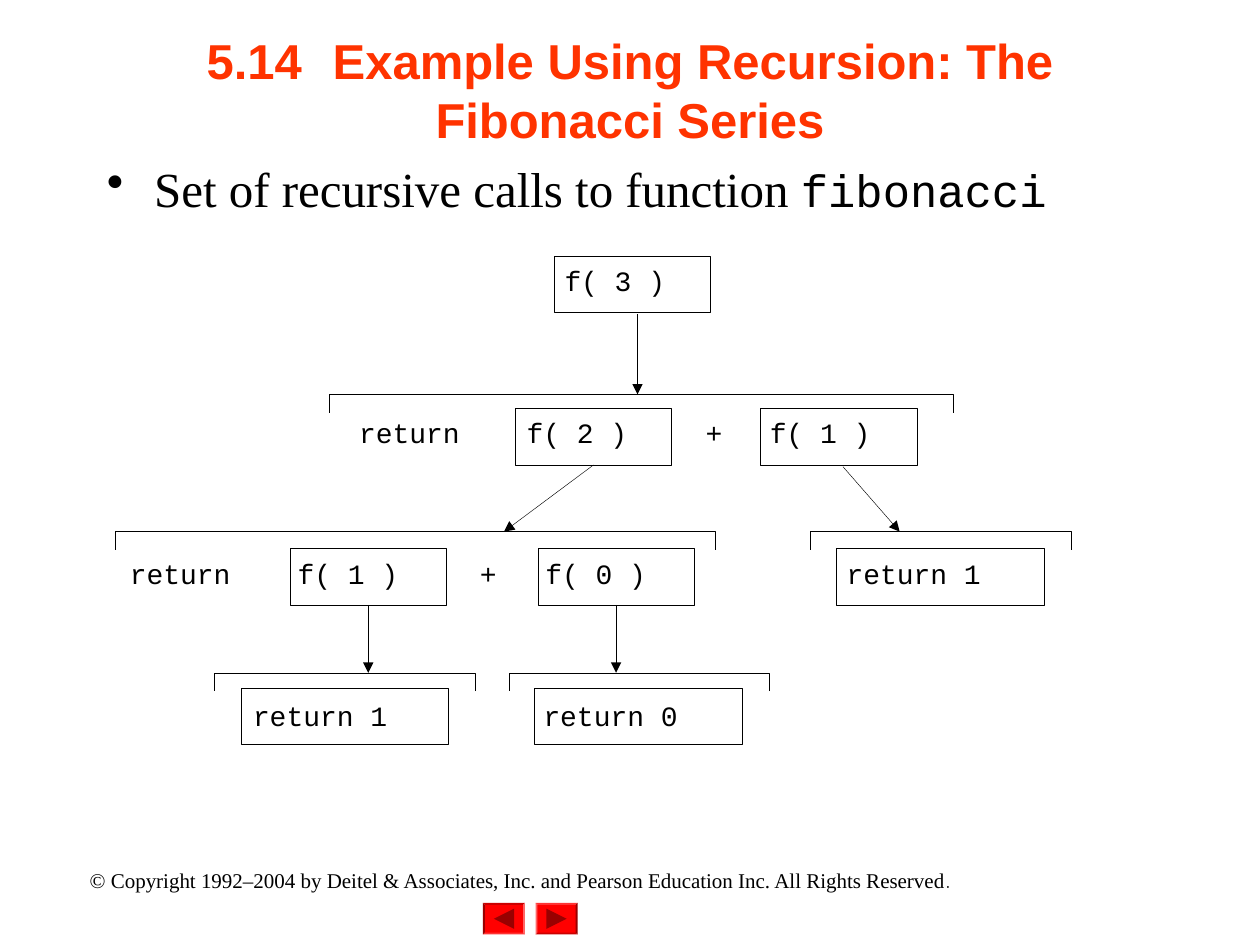
import pptx
import pptx.util
import pptx.dml.color
import pptx.enum.shapes
import pptx.enum.text
import pptx.oxml.ns
import lxml.etree

Pt = pptx.util.Pt
SHAPE = pptx.enum.shapes.MSO_SHAPE
ALIGN = pptx.enum.text.PP_ALIGN
ANCHOR = pptx.enum.text.MSO_ANCHOR

COLORS = {"ink": "000000", "title": "FF3300", "button": "FF0000", "button_arrow": "990000"}
SERIF, SANS, MONO, FOOT = "Times New Roman", "Arial", "Courier New", "Quicksand"

TITLE = "5.14\tExample Using Recursion: The Fibonacci Series"
BULLET = [("Set of recursive calls to function ", SERIF, 28), ("fibonacci", MONO, 26)]
COPYRIGHT = [
    ("© Copyright 1992–2004 by Deitel & Associates, Inc. and Pearson Education Inc. All Rights Reserved", SERIF, 12),
    (".", FOOT, 12),
]

ROW_TOPS = [146.2, 233.3, 313.2, 393.1]
TEXT_DROPS = [4.3, 4.3, 5, 5.8]
BRACKET_TOPS = [None, 225.4, 303.8, 384.5]
BOX_HEIGHT, CALL_WIDTH, RESULT_WIDTH, BRACKET_DEPTH = 32.4, 89.3, 118.8, 10.5

# row, left, width, text indent
CALLS = {
    "top": (0, 316.8, CALL_WIDTH, 5.8, "f( 3 )"),
    "left": (1, 294.5, CALL_WIDTH, 6.5, "f( 2 )"),
    "right": (1, 434.6, CALL_WIDTH, 5.3, "f( 1 )"),
    "left one": (2, 165.8, CALL_WIDTH, 4.3, "f( 1 )"),
    "left zero": (2, 307.4, CALL_WIDTH, 4.3, "f( 0 )"),
    "right result": (2, 478, RESULT_WIDTH, 5.8, "return 1"),
    "one result": (3, 137.6, RESULT_WIDTH, 7, "return 1"),
    "zero result": (3, 305.4, RESULT_WIDTH, 5.2, "return 0"),
}
WORDS = [(1, 205.2, "return"), (1, 403.2, "+"), (2, 74.3, "return"), (2, 274.3, "+")]
BRACKETS = [(1, 188, 357), (2, 66, 342.5), (2, 463, 149), (3, 122.5, 149), (3, 291, 148.5)]
JOINED_ARROWS = [("left", 288), ("left one", None), ("left zero", None)]
FREE_ARROWS = [("top", 364.3, 364.3), ("right", 481.7, 514.1)]
BUTTONS = [(276, 180, 270), (306, 0, 90)]


def color(name):
    return pptx.dml.color.RGBColor.from_string(COLORS[name])


def style(font, face, size, ink="ink", bold=False):
    font.name, font.size, font.bold = face, Pt(size), bold
    font.color.rgb = color(ink)


def add_child(parent, tag, **attributes):
    child = lxml.etree.SubElement(parent, pptx.oxml.ns.qn(tag))
    for key, value in attributes.items():
        child.set(key, str(value))
    return child


def set_insets(frame, left, top, right=0, bottom=0):
    frame.margin_left, frame.margin_top = Pt(left), Pt(top)
    frame.margin_right, frame.margin_bottom = Pt(right), Pt(bottom)


def add_text_box(slide, left, top, width, height):
    frame = slide.shapes.add_textbox(Pt(left), Pt(top), Pt(width), Pt(height)).text_frame
    frame.word_wrap = True
    set_insets(frame, 7.2, 3.6, 7.2, 3.6)
    return frame


def add_runs(paragraph, runs):
    for text, face, size in runs:
        run = paragraph.add_run()
        run.text = text
        style(run.font, face, size)


def add_preset(slide, preset, left, top, width, height, fill=None):
    shape = slide.shapes.add_shape(preset, Pt(left), Pt(top), Pt(width), Pt(height))
    shape.shadow.inherit = False
    if fill:
        shape.fill.solid()
        shape.fill.fore_color.rgb = color(fill)
        shape.line.fill.background()
    else:
        shape.fill.background()
        outline(shape)
    return shape


def outline(shape):
    shape.line.color.rgb = color("ink")
    shape.line.width = Pt(0.25)


def add_call(slide, row, left, width, indent, text):
    box = add_preset(slide, SHAPE.RECTANGLE, left, ROW_TOPS[row], width, BOX_HEIGHT)
    frame = box.text_frame
    frame.vertical_anchor = ANCHOR.TOP
    set_insets(frame, indent, TEXT_DROPS[row])
    frame.text = text
    frame.paragraphs[0].alignment = ALIGN.LEFT
    style(frame.paragraphs[0].font, MONO, 16)
    return box


def add_bracket(slide, row, left, width):
    top, right = BRACKET_TOPS[row], left + width
    foot = top + BRACKET_DEPTH
    builder = slide.shapes.build_freeform(Pt(right), Pt(foot))
    builder.add_line_segments([(Pt(x), Pt(y)) for x, y in [(right, top), (left, top), (left, foot)]], close=False)
    bracket = builder.convert_to_shape()
    bracket.fill.background()
    bracket.shadow.inherit = False
    outline(bracket)


def add_arrow(slide, row, start, tip):
    arrow = slide.shapes.add_connector(
        pptx.enum.shapes.MSO_CONNECTOR.STRAIGHT,
        Pt(start), Pt(ROW_TOPS[row] + BOX_HEIGHT + 1), Pt(tip), Pt(BRACKET_TOPS[row + 1]))
    outline(arrow)
    add_child(arrow.line._get_or_add_ln(), "a:tailEnd", type="triangle")
    add_child(arrow._element.spPr, "a:effectLst")
    return arrow


def main():
    deck = pptx.Presentation()
    deck.slide_width, deck.slide_height = Pt(720), Pt(540)
    slide = deck.slides.add_slide(deck.slide_layouts[6])

    for left, bevel_turn, arrow_turn in BUTTONS:
        bevel = add_preset(slide, SHAPE.BEVEL, left, 516, 24, 18, "button")
        bevel.adjustments[0] = 0.06
        bevel.rotation = bevel_turn
        add_preset(slide, SHAPE.ISOSCELES_TRIANGLE, left + 6.2, 519.2, 11.6, 11.6, "button_arrow").rotation = arrow_turn

    notice = add_text_box(slide, 36, 492, 522, 21.6).paragraphs[0]
    notice.alignment = ALIGN.CENTER
    add_runs(notice, COPYRIGHT)

    title_frame = add_text_box(slide, 54, 6, 612, 90)
    title_frame.vertical_anchor = ANCHOR.MIDDLE
    title = title_frame.paragraphs[0]
    title.text = TITLE
    title.alignment = ALIGN.CENTER
    tabs = add_child(title._p.get_or_add_pPr(), "a:tabLst")
    for inch in range(8):
        add_child(tabs, "a:tab", pos=Pt(72 * inch), algn="l")
    style(title.font, SANS, 28, "title", True)

    bullet = add_text_box(slide, 54, 87, 612, 48).paragraphs[0]
    properties = bullet._p.get_or_add_pPr()
    properties.set("marL", str(Pt(27)))
    properties.set("indent", str(Pt(-27)))
    add_child(properties, "a:buChar", char="•")
    add_runs(bullet, BULLET)

    for bracket in BRACKETS:
        add_bracket(slide, *bracket)
    boxes = {name: add_call(slide, *call) for name, call in CALLS.items()}

    for name, tip in JOINED_ARROWS:
        row, left, width = CALLS[name][:3]
        middle = left + width / 2
        add_arrow(slide, row, middle, tip or middle).begin_connect(boxes[name], 2)
    for name, start, tip in FREE_ARROWS:
        add_arrow(slide, CALLS[name][0], start, tip)

    for row, left, text in WORDS:
        frame = add_text_box(slide, left, ROW_TOPS[row] + TEXT_DROPS[row], 94 if len(text) > 1 else 20, 25)
        set_insets(frame, 0, 0)
        frame.text = text
        style(frame.paragraphs[0].font, MONO, 16)

    deck.save("out.pptx")


if __name__ == "__main__":
    main()
